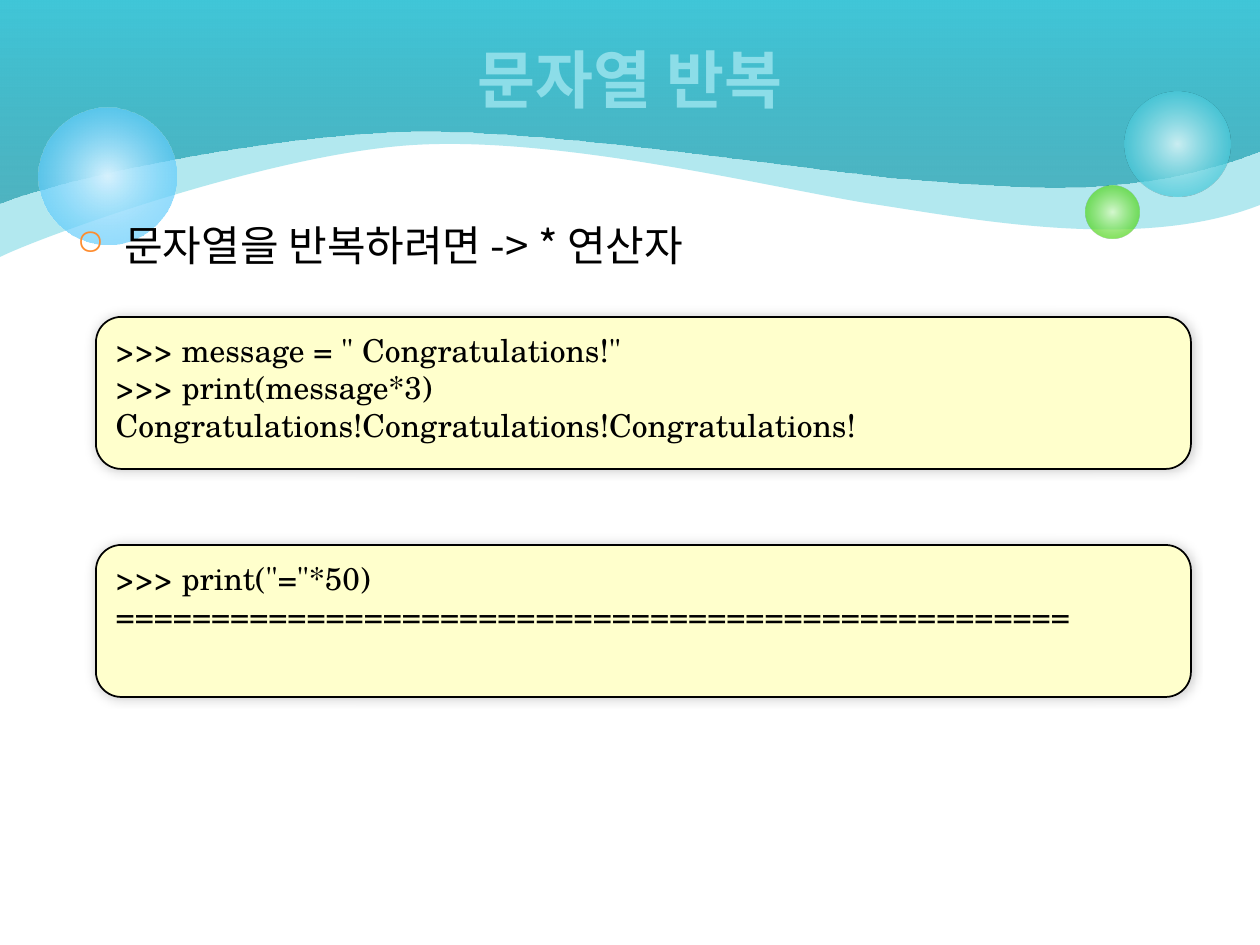
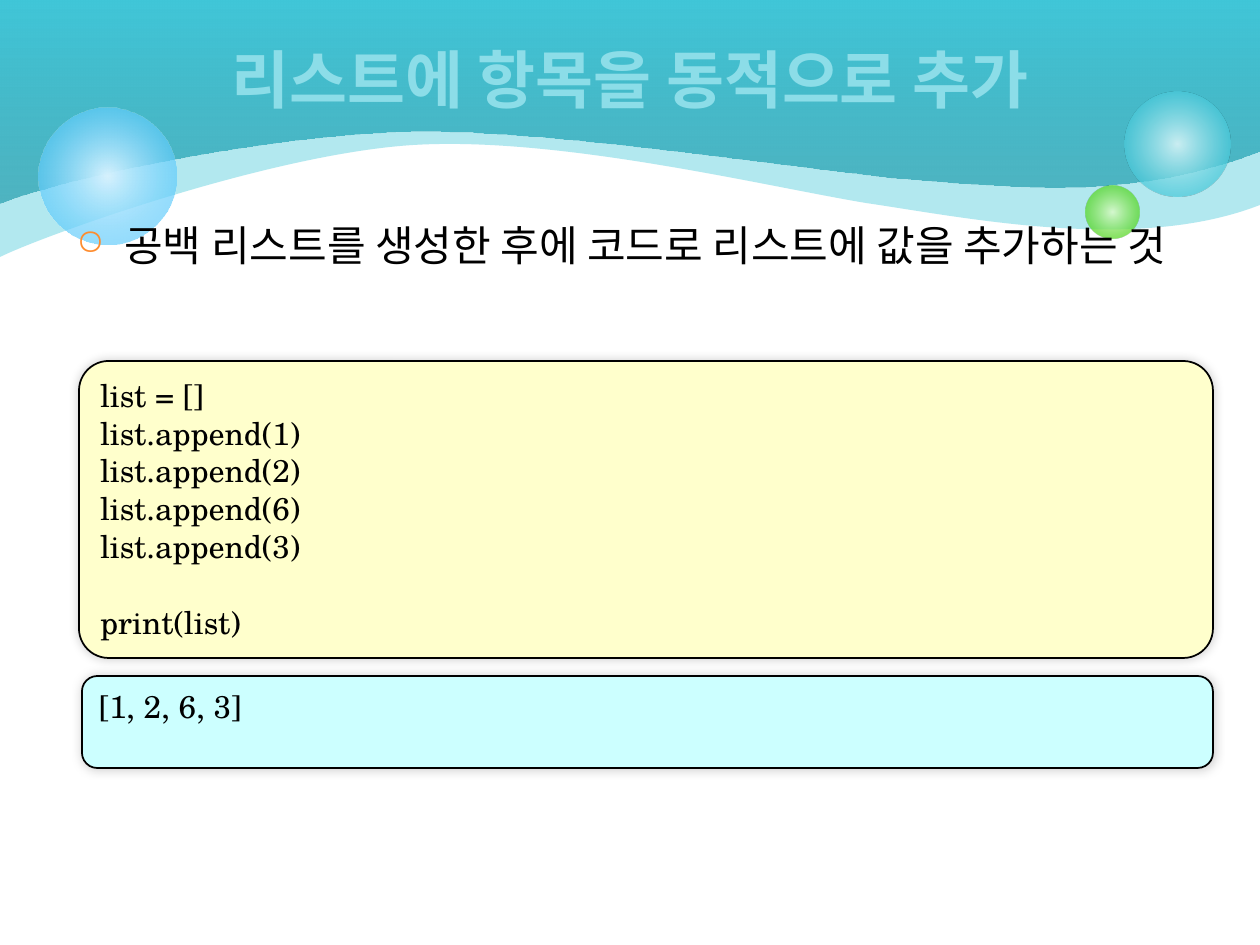
from collections import namedtuple

from pptx import Presentation
from pptx import util as u
from pptx.dml.color import RGBColor
from pptx.enum import shapes, text
from pptx.oxml import parse_xml
from pptx.oxml.ns import nsdecls, qn

SCALE = u.Inches(1) / 126  # EMU in one px
Box = namedtuple("Box", "left top width height")
PAGE = Box(0, 0, 1260, 945)
TITLE = Box(63, 0, 1134, 157)
BODY = Box(64, 213, 1134, 624)

COLOURS = {
    "aqua": "40C6D8", "teal": "249EAE", "pale aqua": "D9F4F7",
    "green": "4CD416", "pale green": "DAFACD",
    "blue": "33BDFB", "pale blue": "D6F2FE",
    "title": "8CDDE8", "bullet": "FE8C2E", "black": "000000",
    "code": "FFFFCC", "output": "CCFFFF",
}
FORMATS = {
    "title": {"name": "Noto Sans CJK KR", "size": u.Pt(36), "bold": True},
    "body": {"name": "Noto Sans CJK KR", "size": u.Pt(24)},
    "code": {"name": "TeX Gyre Schola", "size": u.Pt(18)},
}
CODE_LINE = u.Pt(21.6)

# Waves: start point, then two control points and an end point per curve
PALE_WAVE = [(0, 257), (42, 236), (270, 154), (413, 145),
             (558, 136), (764, 186), (866, 203),
             (968, 218), (1137, 253), (1260, 205)]
DEEP_WAVE = [(0, 204), (57, 181), (256, 136), (411, 132),
             (566, 129), (829, 175), (929, 181),
             (1028, 188), (1137, 200), (1260, 152)]

# Bubbles: left, top, diameter, gradient stops (position, colour, opacity)
BUBBLES = [
    (1125, 92, 105, [(0, "pale aqua", 90), (76, "aqua", 70)]),
    (1086, 186, 53, [(0, "pale green", 90), (76, "green", 70)]),
    (39, 108, 137, [(0, "pale blue", 100), (100, "blue", 54)]),
]


def px(length):
    return round(length * SCALE)


def emu(box):
    return [px(length) for length in box]


def rgb(colour):
    return RGBColor.from_string(COLOURS[colour])


def colour_xml(colour, opacity):
    return (f'<a:srgbClr val="{COLOURS[colour]}">'
            f'<a:alpha val="{opacity * 1000}"/></a:srgbClr>')


def solid_xml(colour, opacity):
    return f'<a:solidFill {nsdecls("a")}>{colour_xml(colour, opacity)}</a:solidFill>'


def gradient_xml(stops, direction):
    steps = "".join(f'<a:gs pos="{position * 1000}">{colour_xml(colour, opacity)}</a:gs>'
                    for position, colour, opacity in stops)
    return (f'<a:gradFill {nsdecls("a")} rotWithShape="1">'
            f'<a:gsLst>{steps}</a:gsLst>{direction}</a:gradFill>')


UPWARD = '<a:lin ang="16200000" scaled="0"/>'
RADIAL = ('<a:path path="circle">'
          '<a:fillToRect l="50000" t="50000" r="50000" b="50000"/></a:path>')


def paint(shape, fill_xml):
    """Give a decoration its translucent fill, without line or shadow."""
    shape.shadow.inherit = False
    shape.line.fill.background()
    shape.fill.background()
    properties = shape._element.spPr
    properties.replace(properties.find(qn("a:noFill")), parse_xml(fill_xml))


def write(paragraph, words, style, colour):
    run = paragraph.add_run()
    run.text = words
    for attribute, value in FORMATS[style].items():
        setattr(run.font, attribute, value)
    run.font.color.rgb = rgb(colour)


def bend(shape, curves):
    """Join the first segments, three by three, into Bezier curves."""
    segments = list(shape._element.iter(qn("a:lnTo")))
    for first in range(0, 3 * curves, 3):
        curve = parse_xml(f'<a:cubicBezTo {nsdecls("a")}/>')
        segments[first].addprevious(curve)
        for segment in segments[first:first + 3]:
            curve.append(segment[0])
            segment.getparent().remove(segment)


def add_wave(slide, box, wave, fill_xml):
    corners = [*wave, (box.width + 1, 0), (0, 0)]
    start, *rest = [(px(box.left + x), px(box.top + y)) for x, y in corners]
    builder = slide.shapes.build_freeform(*start)
    builder.add_line_segments(rest)
    shape = builder.convert_to_shape()
    bend(shape, len(wave) // 3)
    paint(shape, fill_xml)


def add_header(slide, box):
    # Waves
    add_wave(slide, box, PALE_WAVE, solid_xml("aqua", 40))
    add_wave(slide, box, DEEP_WAVE,
             gradient_xml([(0, "teal", 69), (100, "aqua", 100)], UPWARD))
    # Bubbles
    for left, top, diameter, stops in BUBBLES:
        place = Box(box.left + left, box.top + top, diameter, diameter)
        bubble = slide.shapes.add_shape(shapes.MSO_SHAPE.OVAL, *emu(place))
        paint(bubble, gradient_xml(stops, RADIAL))


def add_title(slide, box, words):
    frame = slide.shapes.add_textbox(*emu(box)).text_frame
    frame.word_wrap = True
    frame.vertical_anchor = text.MSO_ANCHOR.MIDDLE
    heading = frame.paragraphs[0]
    heading.alignment = text.PP_ALIGN.CENTER
    write(heading, words, "title", "title")


def add_body(slide, box, words):
    frame = slide.shapes.add_textbox(*emu(box)).text_frame
    frame.word_wrap = True
    point = frame.paragraphs[0]
    write(point, words, "body", "black")
    # Hanging ring bullet
    layout = point._p.get_or_add_pPr()
    layout.set("marL", str(px(48)))
    layout.set("indent", str(-px(48)))
    for part in ('<a:spcBef {}><a:spcPct val="20000"/></a:spcBef>',
                 f'<a:buClr {{}}><a:srgbClr val="{COLOURS["bullet"]}"/></a:buClr>',
                 '<a:buSzPct {} val="85000"/>',
                 '<a:buChar {} char="○"/>'):
        layout.append(parse_xml(part.format(nsdecls("a"))))


def add_panel(slide, box, lines, fill="code",
              outline=shapes.MSO_SHAPE.ROUNDED_RECTANGLE, rounding=None):
    panel = slide.shapes.add_shape(outline, *emu(box))
    if rounding is not None:
        panel.adjustments[0] = rounding
    panel.fill.solid()
    panel.fill.fore_color.rgb = rgb(fill)
    panel.line.color.rgb = rgb("black")
    panel.line.width = u.Pt(1)
    # Soft shadow
    panel.shadow.inherit = False
    panel._element.spPr.find(qn("a:effectLst")).append(parse_xml(
        f'<a:outerShdw {nsdecls("a")} blurRad="{u.Pt(6)}" dist="0" dir="18900000">'
        f'{colour_xml("black", 20)}</a:outerShdw>'))
    # Lines; an empty one becomes space before the next
    frame = panel.text_frame
    frame.word_wrap = True
    frame.vertical_anchor = text.MSO_ANCHOR.TOP
    previous = None
    for number, words in enumerate(lines):
        if words:
            row = frame.add_paragraph() if number else frame.paragraphs[0]
            row.alignment = text.PP_ALIGN.LEFT
            if previous == "":
                row.space_before = CODE_LINE
            write(row, words, "code", "black")
        previous = words


def add_lesson(deck, title, point):
    slide = deck.slides.add_slide(deck.slide_layouts[6])
    add_header(slide, PAGE)
    add_body(slide, BODY, point)
    add_title(slide, TITLE, title)
    return slide


def add_repetition(deck):
    slide = add_lesson(deck, "문자열 반복", "문자열을 반복하려면 -> * 연산자")
    examples = [
        ['>>> message = " Congratulations!"', ">>> print(message*3)",
         "Congratulations!" * 3],
        ['>>> print("="*50)', "=" * 50],
    ]
    for number, lines in enumerate(examples):
        add_panel(slide, Box(96, 317 + 228 * number, 1095, 152), lines)


def add_appending(deck):
    slide = add_lesson(deck, "리스트에 항목을 동적으로 추가",
                       "공백 리스트를 생성한 후에 코드로 리스트에 값을 추가하는 것")
    values = [1, 2, 6, 3]
    appends = [f"list.append({value})" for value in values]
    add_panel(slide, Box(79, 361, 1134, 297),
              ["list = []", *appends, "", "print(list)"], rounding=0.1)
    add_panel(slide, Box(82, 676, 1131, 92), [str(values)], "output",
              shapes.MSO_SHAPE.FLOWCHART_ALTERNATE_PROCESS)


def main():
    deck = Presentation()
    deck.slide_width, deck.slide_height = px(PAGE.width), px(PAGE.height)
    add_repetition(deck)
    add_appending(deck)
    deck.save("out.pptx")


if __name__ == "__main__":
    main()
